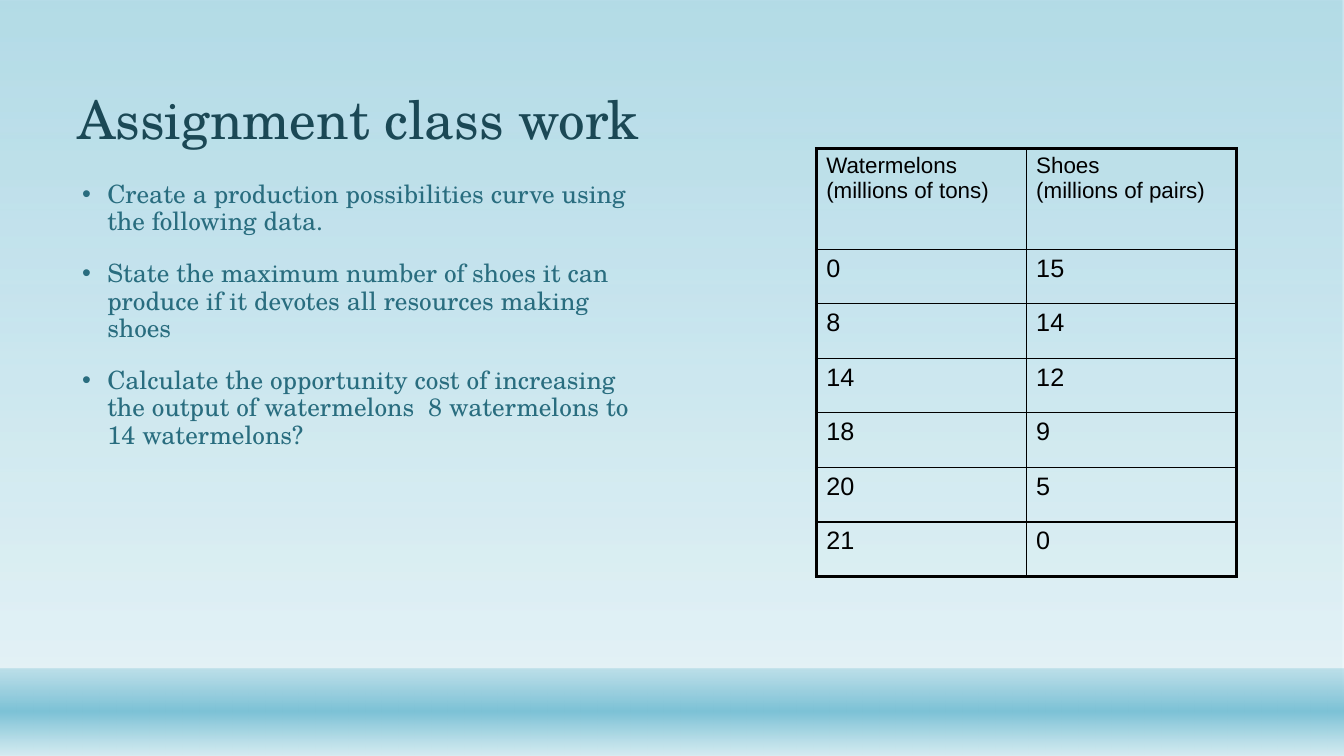
import pptx
import pptx.util
import pptx.dml.color
import pptx.enum.shapes
import pptx.enum.text
import pptx.oxml
import pptx.oxml.ns

Pt = pptx.util.Pt
RGB = pptx.dml.color.RGBColor.from_string
COLORS = {"sky": "7DC2D6", "pale": "D4EBF1", "title": "1B4855",
          "body": "296D7F", "ink": "000000"}
SERIF, SANS = "TeX Gyre Schola", "Arial"
TASKS = [
    "Create a production possibilities curve using the following data.",
    "State the maximum number of shoes it can produce if it devotes all "
    "resources making shoes",
    "Calculate the opportunity cost of increasing the output of watermelons  "
    "8 watermelons to 14 watermelons?",
]
HEADS = ["Watermelons (millions of tons)", "Shoes\n(millions of pairs)"]
DATA = [(0, 15), (8, 14), (14, 12), (18, 9), (20, 5), (21, 0)]


def parse(xml):
    """Build an element whose tags use the drawing namespace."""
    mark = xml.replace(" ", " " + pptx.oxml.ns.nsdecls("a") + " ", 1)
    return pptx.oxml.parse_xml(mark)


def write(frame, text, size=18, font=SANS, color="ink", line=None,
          gap=0, bullet=False):
    """Fill a text frame with one paragraph per line of text."""
    frame.word_wrap = True
    for i, part in enumerate(text.split("\n")):
        para = frame.paragraphs[0] if i == 0 else frame.add_paragraph()
        if bullet:
            props = para._p.get_or_add_pPr()
            props.set("marL", str(Pt(21.6)))
            props.set("indent", str(Pt(-18)))
            props.append(parse('<a:buFont typeface="Arial"/>'))
            props.append(parse('<a:buChar char="•"/>'))
        if line:
            para.line_spacing = line
        if i and gap:
            para.space_before = Pt(gap)
        run = para.add_run()
        run.text = part
        run.font.size, run.font.name = Pt(size), font
        run.font.color.rgb = RGB(COLORS[color])


def wash(slide, x, y, w, h, stops):
    """Draw a borderless band that fades downward through its stops."""
    band = slide.shapes.add_shape(
        pptx.enum.shapes.MSO_SHAPE.RECTANGLE, Pt(x), Pt(y), Pt(w), Pt(h))
    band.shadow.inherit = False
    band.line.fill.background()
    band.fill.gradient()
    band.fill.gradient_angle = 270
    ramp = band._element.spPr.find(
        pptx.oxml.ns.qn("a:gradFill")).find(pptx.oxml.ns.qn("a:gsLst"))
    for old in list(ramp):
        ramp.remove(old)
    for place, name, alpha in stops:
        ramp.append(parse(
            f'<a:gs pos="{place * 1000}"><a:srgbClr val="{COLORS[name]}">'
            f'<a:alpha val="{alpha * 1000}"/></a:srgbClr></a:gs>'))


def title(slide, x, y, w, h):
    """Place the heading at the foot of its box."""
    frame = slide.shapes.add_textbox(Pt(x), Pt(y), Pt(w), Pt(h)).text_frame
    frame.vertical_anchor = pptx.enum.text.MSO_ANCHOR.BOTTOM
    write(frame, "Assignment class work", size=38, font=SERIF,
          color="title", line=0.9)


def tasks(slide, x, y, w, h):
    """Place the bulleted tasks."""
    frame = slide.shapes.add_textbox(Pt(x), Pt(y), Pt(w), Pt(h)).text_frame
    write(frame, "\n".join(TASKS), font=SERIF, color="body", line=0.9,
          gap=18, bullet=True)


def edge(cell, sides):
    """Rule the four sides of a cell, heavy where a side is flagged."""
    props = cell._tc.get_or_add_tcPr()
    for i, (side, heavy) in enumerate(sides.items()):
        width = Pt(2.25 if heavy else 1)
        props.insert(i, parse(
            f'<a:ln{side} w="{width}"><a:solidFill>'
            f'<a:srgbClr val="{COLORS["ink"]}"/></a:solidFill></a:ln{side}>'))


def table(slide, x, y, w, h, head=72):
    """Place the output table with a tall head row and equal data rows."""
    rows = [HEADS] + DATA
    last, end = len(rows) - 1, len(HEADS) - 1
    grid = slide.shapes.add_table(
        len(rows), len(HEADS), Pt(x), Pt(y), Pt(w), Pt(h)).table
    grid.first_row = grid.horz_banding = False
    for col in grid.columns:
        col.width = Pt(w / len(HEADS))
    for r, row in enumerate(rows):
        grid.rows[r].height = Pt((h - head) / last if r else head)
        for c, value in enumerate(row):
            cell = grid.cell(r, c)
            cell.fill.background()
            write(cell.text_frame, str(value), size=18 if r else 16)
            edge(cell, {"L": c == 0, "R": c == end,
                        "T": r == 0, "B": r == last})


def main():
    """Build the slide and save it."""
    deck = pptx.Presentation()
    deck.slide_width, deck.slide_height = Pt(960), Pt(540)
    slide = deck.slides.add_slide(deck.slide_layouts[6])
    wash(slide, 0, 0, 960, 540, [(0, "sky", 58), (88, "pale", 65)])
    wash(slide, 0, 477.5, 960, 62.5,
         [(1, "sky", 38), (49, "sky", 100), (100, "pale", 89)])
    title(slide, 48, 21.6, 864, 90)
    tasks(slide, 48, 126, 424, 356.4)
    table(slide, 583, 106, 300, 306)
    deck.save("out.pptx")


if __name__ == "__main__":
    main()
